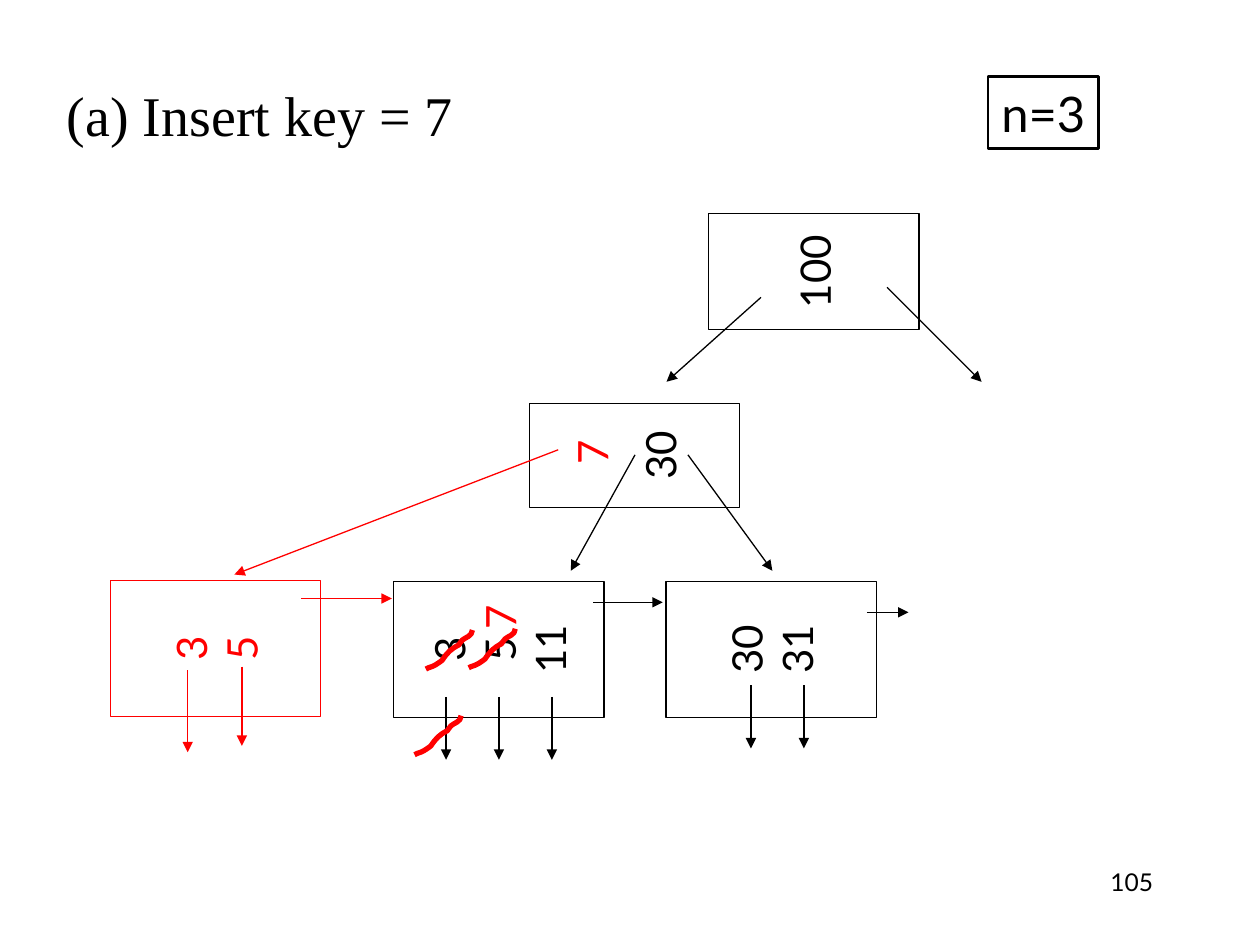
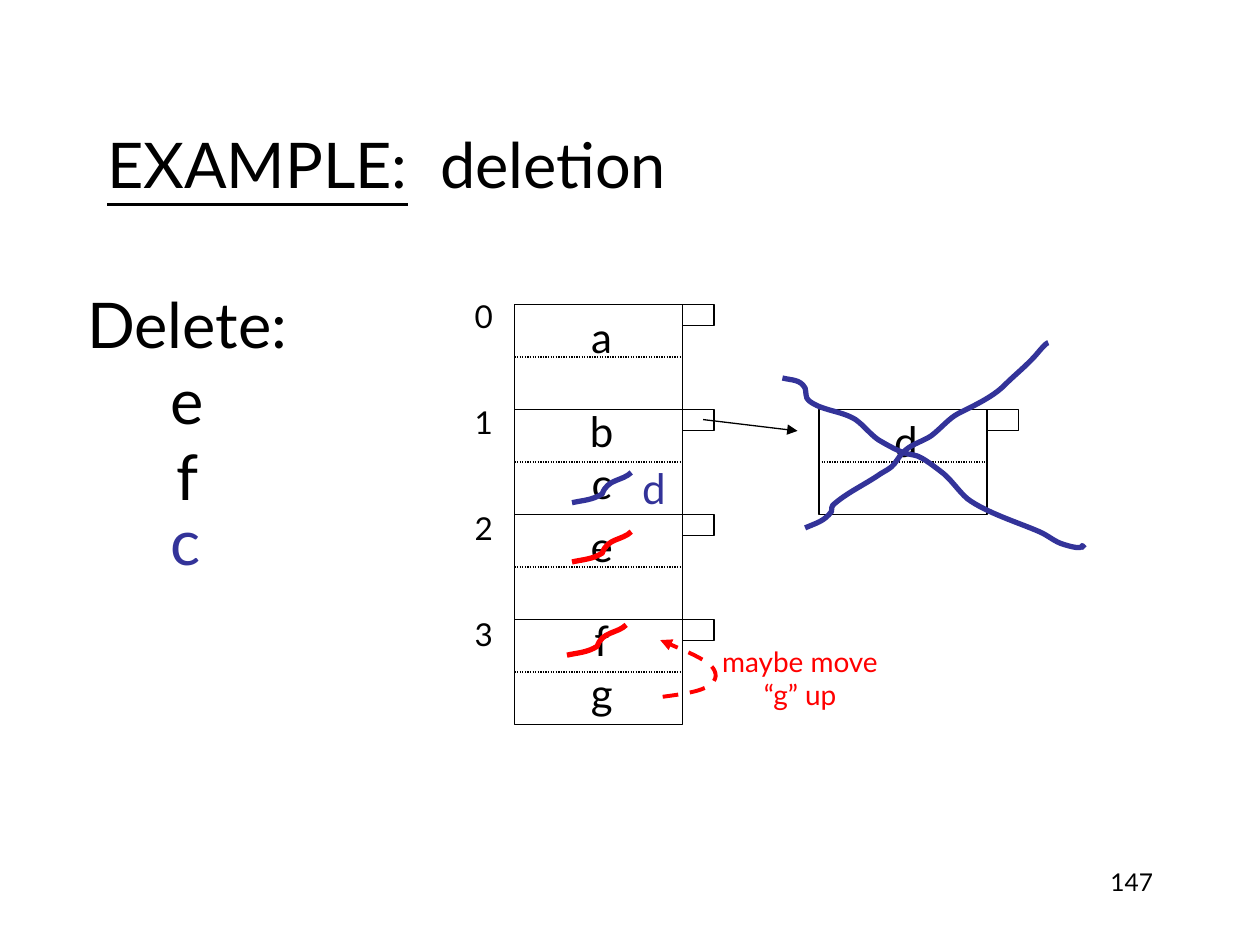
from dataclasses import dataclass
from typing import Optional

from lxml.etree import SubElement
from pptx import Presentation
from pptx.dml.color import RGBColor
from pptx.enum.dml import MSO_LINE_DASH_STYLE as Dash
from pptx.enum.shapes import MSO_CONNECTOR as Connector, MSO_SHAPE as Preset
from pptx.enum.text import MSO_ANCHOR as Anchor, MSO_AUTO_SIZE as AutoSize, PP_ALIGN as Align
from pptx.oxml.ns import qn
from pptx.util import Inches, Pt

BLACK = RGBColor(0x00, 0x00, 0x00)
WHITE = RGBColor(0xFF, 0xFF, 0xFF)
RED = RGBColor(0xFF, 0x00, 0x00)
BLUE = RGBColor(0x33, 0x33, 0x99)
SANS, SERIF = "Lato", "Times New Roman"

Point = tuple[float, float]
Box = tuple[float, float, float, float]


@dataclass
class Node:
    """A tree node, turned a quarter so its keys read upwards."""
    box: Box
    keys: list[str]
    color: RGBColor = BLACK
    skipped_lines: int = 0


@dataclass
class Arrow:
    start: Point
    end: Point
    color: RGBColor = BLACK


@dataclass
class Label:
    text: str
    box: Box
    size: float = 24
    color: RGBColor = BLACK
    rotation: float = 0


@dataclass
class Curve:
    """Cubic curves: a start, then two handles and an end for each piece."""
    points: list[Point]
    color: RGBColor
    origin: Point = (0, 0)
    width: float = 3
    dash: Optional[Dash] = None
    arrow: bool = False


KEY_STRIKE = [(0, 0.31), (0.01, 0.3), (0.03, 0.3), (0.05, 0.29), (0.08, 0.28), (0.13, 0.24),
              (0.13, 0.24), (0.17, 0.18), (0.2, 0.15), (0.26, 0.12), (0.27, 0.11), (0.27, 0.1),
              (0.29, 0.08), (0.31, 0.06), (0.37, 0.05), (0.37, 0)]
RECORD_STRIKE = [(0, 0.24), (0.09, 0.22), (0.16, 0.22), (0.24, 0.17), (0.28, 0.05),
                 (0.4, 0.07), (0.47, 0)]
CROSS_RISING = [(6.39, 4.19), (6.48, 4.15), (6.54, 4.14), (6.6, 4.06), (6.6, 4.04), (6.6, 4.02),
                (6.61, 4.01), (6.72, 3.91), (6.86, 3.85), (6.99, 3.76), (7.02, 3.74),
                (7.07, 3.72), (7.1, 3.68), (7.13, 3.64), (7.15, 3.6), (7.19, 3.57),
                (7.25, 3.52), (7.33, 3.5), (7.39, 3.46), (7.47, 3.4), (7.53, 3.32),
                (7.61, 3.28), (7.73, 3.22), (7.88, 3.15), (7.97, 3.06), (8.06, 2.97),
                (8.14, 2.91), (8.22, 2.82), (8.23, 2.81), (8.3, 2.72), (8.32, 2.72)]
CROSS_FALLING = [(6.21, 3), (6.29, 3.02), (6.35, 3.01), (6.39, 3.08), (6.4, 3.11), (6.39, 3.16),
                 (6.42, 3.18), (6.52, 3.26), (6.68, 3.26), (6.79, 3.33), (6.86, 3.38),
                 (6.9, 3.44), (6.97, 3.49), (7.34, 3.71), (7.16, 3.5), (7.49, 3.76),
                 (7.56, 3.82), (7.61, 3.9), (7.68, 3.96), (7.83, 4.07), (8.09, 4.15),
                 (8.25, 4.22), (8.32, 4.25), (8.37, 4.3), (8.44, 4.32), (8.66, 4.39),
                 (8.55, 4.29), (8.61, 4.35)]
MOVE_UP = [(5.26, 5.53), (5.41, 5.51), (5.56, 5.49), (5.63, 5.44), (5.69, 5.4), (5.7, 5.34),
           (5.64, 5.28), (5.57, 5.22), (5.4, 5.15), (5.24, 5.08)]


def write_text(frame, text, *, size=24, color=BLACK, font=SANS, align=Align.CENTER,
               anchor=Anchor.MIDDLE, wrap=False, gap=0, underlined="") -> None:
    """Write one paragraph per line, the first led by an optional underlined run."""
    frame.word_wrap = wrap
    frame.auto_size = AutoSize.NONE
    frame.vertical_anchor = anchor
    frame.margin_left = frame.margin_right = Inches(0.1)
    frame.margin_top = frame.margin_bottom = Inches(0.05)
    for index, line in enumerate(text.split("\n")):
        paragraph = frame.add_paragraph() if index else frame.paragraphs[0]
        paragraph.alignment = align
        paragraph.space_before = Pt(gap if index else 0)
        if underlined and not index:
            paragraph.add_run().text = underlined
            paragraph.runs[0].font.underline = True
        paragraph.add_run().text = line
        for run in paragraph.runs:
            run.font.name, run.font.size = font, Pt(size)
            run.font.color.rgb = color


def style_line(shape, color: RGBColor, width: float = 0.75,
               dash: Optional[Dash] = None, arrow: bool = False) -> None:
    shape.line.color.rgb = color
    shape.line.width = Pt(width)
    if dash is not None:
        shape.line.dash_style = dash
    if arrow:
        outline = shape.element.spPr.find(qn("a:ln"))
        SubElement(outline, qn("a:tailEnd")).set("type", "triangle")


def add_rectangle(slide, box: Box, color: RGBColor = BLACK, width: float = 0.75):
    shape = slide.shapes.add_shape(Preset.RECTANGLE, *map(Inches, box))
    shape.shadow.inherit = False
    shape.fill.solid()
    shape.fill.fore_color.rgb = WHITE
    style_line(shape, color, width)
    return shape


def add_line(slide, start: Point, end: Point, color: RGBColor = BLACK, **style) -> None:
    line = slide.shapes.add_connector(Connector.STRAIGHT, *map(Inches, start + end))
    style_line(line, color, **style)
    SubElement(line.element.spPr, qn("a:effectLst"))


def add_label(slide, label: Label, **text_format) -> None:
    box = slide.shapes.add_textbox(*map(Inches, label.box))
    box.rotation = label.rotation
    write_text(box.text_frame, label.text, size=label.size, color=label.color, **text_format)


def add_node(slide, node: Node) -> None:
    shape = add_rectangle(slide, node.box, node.color)
    shape.rotation = 270
    write_text(shape.text_frame, "\n".join(node.keys), color=node.color)
    shape.text_frame.margin_top = Inches(0.05 + 0.4 * node.skipped_lines)


def add_curve(slide, curve: Curve) -> None:
    start, *others = [(Inches(curve.origin[0] + x), Inches(curve.origin[1] + y))
                      for x, y in curve.points]
    builder = slide.shapes.build_freeform(*start)
    builder.add_line_segments(others, close=False)
    shape = builder.convert_to_shape()
    # Each three straight segments become one cubic piece
    outline = next(shape.element.iter(qn("a:path")))
    segments = outline.findall(qn("a:lnTo"))
    for first in range(0, len(segments), 3):
        piece = SubElement(outline, qn("a:cubicBezTo"))
        for segment in segments[first:first + 3]:
            piece.append(segment[0])
            outline.remove(segment)
    shape.shadow.inherit = False
    shape.fill.background()
    style_line(shape, curve.color, curve.width, curve.dash, curve.arrow)


def add_bucket(slide, left: float, top: float) -> None:
    """A two-record block with its overflow pointer."""
    width, height = 4 / 3, 2.5 / 3
    add_rectangle(slide, (left, top, width, height))
    add_rectangle(slide, (left + width, top, 0.25, height / 5))
    add_line(slide, (left, top + height / 2), (left + width, top + height / 2),
             dash=Dash.ROUND_DOT)


def add_titled_slide(presentation, number: str, title: str, box: Box, **title_format):
    slide = presentation.slides.add_slide(presentation.slide_layouts[5])
    placeholder = slide.shapes.title
    placeholder.left, placeholder.top, placeholder.width, placeholder.height = map(Inches, box)
    write_text(placeholder.text_frame, title, align=Align.LEFT, wrap=True, **title_format)
    add_label(slide, Label(number, (7.17, 6.83, 2.08, 0.5), 14),
              align=Align.RIGHT, anchor=Anchor.TOP, wrap=True)
    return slide


def build_insertion(presentation) -> None:
    slide = add_titled_slide(presentation, "105", "(a) Insert key = 7", (0.43, 0.57, 8.5, 0.65),
                             size=32, font=SERIF, anchor=Anchor.BOTTOM)
    order = add_rectangle(slide, (7.84, 0.61, 0.88, 0.57), width=1.5)
    order.fill.background()
    write_text(order.text_frame, "n=3", size=28)

    # Tree nodes
    for node in (Node((3.42, 4.32, 1.08, 1.67), ["3", "5", "11"]),
                 Node((5.58, 4.32, 1.08, 1.67), ["30", "31"]),
                 Node((4.62, 2.78, 0.83, 1.67), ["30"], skipped_lines=1),
                 Node((6, 1.32, 0.92, 1.67), ["100"]),
                 Node((1.17, 4.31, 1.08, 1.67), ["3", "5"], RED)):
        add_node(slide, node)

    # Record pointers, leaf chain and child pointers
    arrows = [Arrow((x, 5.53), (x, 6.03)) for x in (3.54, 3.96, 4.38)]
    arrows += [Arrow((x, 5.44), (x, 5.94)) for x in (5.96, 6.38)]
    arrows += [Arrow((4.71, 4.78), (5.26, 4.78)),
               Arrow((6.88, 4.86), (7.21, 4.86)),
               Arrow((6.04, 2.36), (5.29, 3.03)),
               Arrow((7.04, 2.28), (7.79, 3.03)),
               Arrow((5.04, 3.61), (4.53, 4.53)),
               Arrow((5.46, 3.61), (6.13, 4.53)),
               Arrow((2.39, 4.75), (3.11, 4.75), RED),
               Arrow((1.49, 5.32), (1.49, 5.97), RED),
               Arrow((1.92, 5.29), (1.92, 5.92), RED),
               Arrow((4.43, 3.57), (1.86, 4.56), RED)]
    for arrow in arrows:
        add_line(slide, arrow.start, arrow.end, arrow.color, arrow=True)

    # New key and struck-out entries
    for left, top in ((3.77, 4.65), (4.5, 3.34)):
        add_label(slide, Label("7", (left, top, 0.39, 0.5), color=RED, rotation=270))
    for origin in ((3.38, 5), (3.72, 4.99), (3.29, 5.68)):
        add_curve(slide, Curve(KEY_STRIKE, RED, origin))


def build_deletion(presentation) -> None:
    slide = add_titled_slide(presentation, "147", "  deletion", (0.75, 0.67, 8.5, 1.25),
                             size=36, underlined="EXAMPLE:")

    # Hash buckets, their numbers and the overflow block
    for index in range(4):
        add_bucket(slide, 49 / 12, 29 / 12 + index * 2.5 / 3)
    add_label(slide, Label("0\n1\n2\n3", (3.67, 2.31, 0.34, 2.92), 18), gap=39)
    add_bucket(slide, 6.5, 3.25)
    add_line(slide, (5.58, 3.33), (6.33, 3.42), arrow=True)

    # Records
    for record, top in (("a", 2.42), ("b", 3.17), ("c", 3.58),
                        ("e", 4.08), ("f", 4.83), ("g", 5.25)):
        add_label(slide, Label(record, (4.58, top, 0.39, 0.5)))
    add_label(slide, Label("d", (6.99, 3.25, 0.4, 0.5)))
    add_label(slide, Label("d", (4.99, 3.62, 0.4, 0.5), color=BLUE))

    # Keys to delete and the remark
    add_label(slide, Label("Delete:\ne\nf", (0.56, 2.22, 1.85, 1.9), 36))
    add_label(slide, Label("c", (1.25, 3.94, 0.44, 0.7), 36, BLUE))
    add_label(slide, Label("maybe move\n“g” up", (5.58, 5.06, 1.54, 0.64), 16, RED))

    # Strikes, the move arrow and the crossed-out block
    for curve in (Curve(RECORD_STRIKE, RED, (4.54, 4.22)),
                  Curve(RECORD_STRIKE, RED, (4.5, 4.96)),
                  Curve(RECORD_STRIKE, BLUE, (4.54, 3.75)),
                  Curve(MOVE_UP, RED, width=2.25, dash=Dash.DASH, arrow=True),
                  Curve(CROSS_RISING, BLUE),
                  Curve(CROSS_FALLING, BLUE)):
        add_curve(slide, curve)


def main() -> None:
    presentation = Presentation()
    presentation.slide_width, presentation.slide_height = Inches(10), Inches(7.5)
    build_insertion(presentation)
    build_deletion(presentation)
    presentation.save("out.pptx")


if __name__ == "__main__":
    main()
